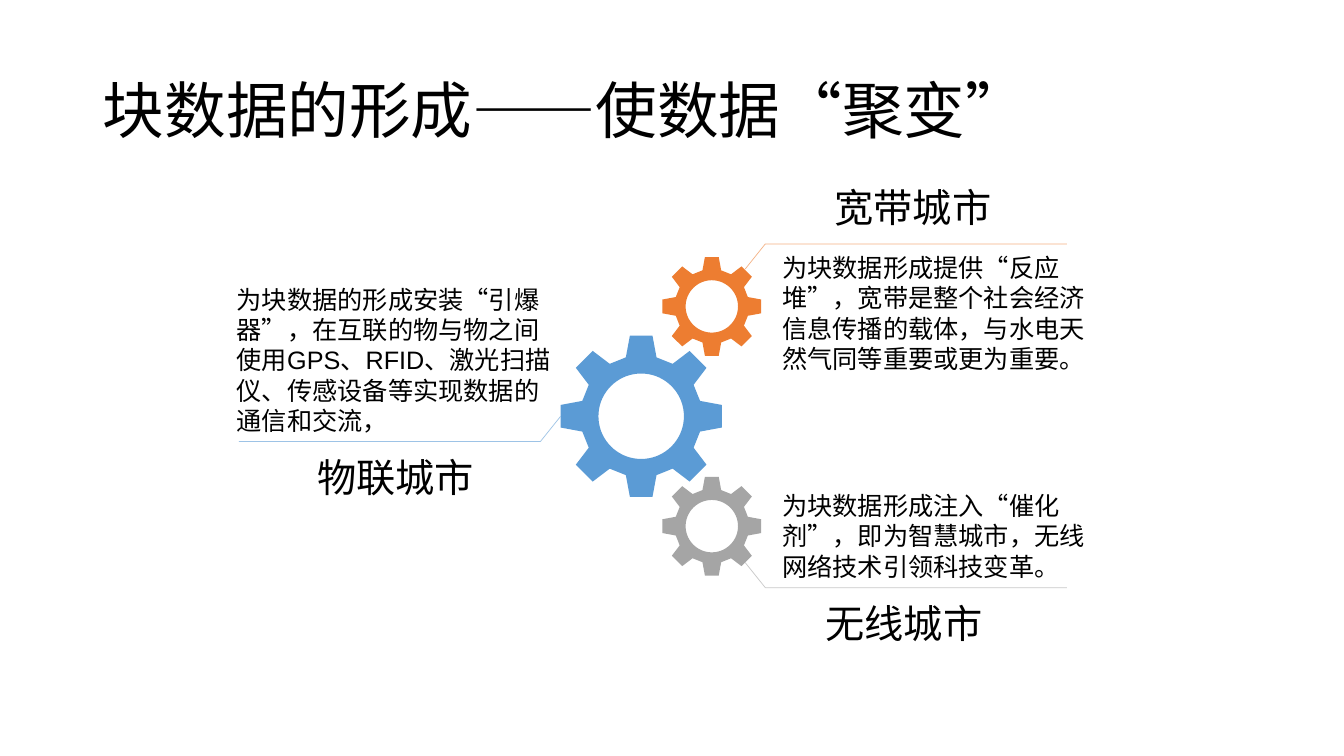
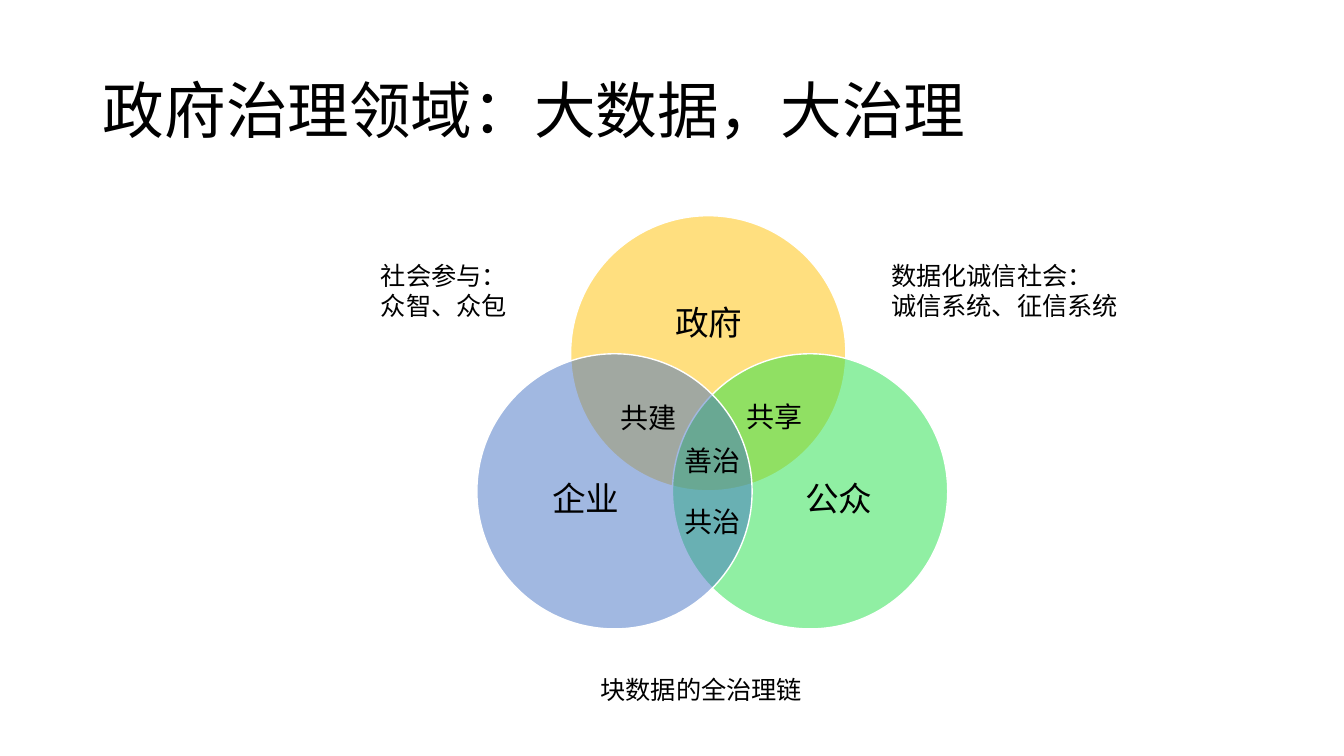
import math

from lxml import etree
from pptx import Presentation
from pptx.dml.color import RGBColor
from pptx.enum.lang import MSO_LANGUAGE_ID
from pptx.enum.shapes import MSO_SHAPE
from pptx.enum.text import MSO_ANCHOR, MSO_AUTO_SIZE, PP_ALIGN
from pptx.oxml.ns import qn
from pptx.util import Inches, Pt

LEFT, CENTER = PP_ALIGN.LEFT, PP_ALIGN.CENTER
TOP, MIDDLE = MSO_ANCHOR.TOP, MSO_ANCHOR.MIDDLE
GROW, FIXED = MSO_AUTO_SIZE.SHAPE_TO_FIT_TEXT, MSO_AUTO_SIZE.NONE
CHINESE = MSO_LANGUAGE_ID.SIMPLIFIED_CHINESE
OVAL = MSO_SHAPE.OVAL

# Shared style
BLACK = RGBColor(0x00, 0x00, 0x00)
WHITE = RGBColor(0xFF, 0xFF, 0xFF)
BLUE = RGBColor(0x5B, 0x9B, 0xD5)
ORANGE = RGBColor(0xED, 0x7D, 0x31)
GRAY = RGBColor(0xA5, 0xA5, 0xA5)
PALE_BLUE = RGBColor(0x9D, 0xC3, 0xE6)
PALE_ORANGE = RGBColor(0xF4, 0xB1, 0x83)
PALE_GRAY = RGBColor(0xC9, 0xC9, 0xC9)
GOLD = RGBColor(0xFF, 0xC0, 0x00)
GREEN = RGBColor(0x23, 0xE1, 0x48)
INDIGO = RGBColor(0x44, 0x72, 0xC4)
HEAD_FONT, BODY_FONT = "Calibri", "Arial"
TITLE_BOX = (0.92, 0.4, 11.5, 1.45)

# Slide 1: gears, leader lines and city texts
GEAR_TITLE = "块数据的形成——使数据“聚变”"
GEARS = [  # centre x, centre y, radius, colour
    (7.06, 5.22, 0.49, GRAY),
    (7.06, 3.04, 0.49, ORANGE),
    (6.36, 4.13, 0.8, BLUE),
]
# A quarter of the gear outline in units of the radius; turned four times
GEAR_QUARTER = [(-0.14, -1), (0.14, -1), (0.19, -0.73), (0.39, -0.65),
                (0.6, -0.81), (0.81, -0.6), (0.65, -0.39), (0.73, -0.19)]
HOLE_SHARE, HOLE_STEPS = 0.53, 72
LEADER_BEND, LEADER_RUN, LEADER_RISE = 0.2, 3.19, 0.25
LEADERS = [  # start x, start y, direction x, direction y, colour
    (7.39, 2.67, 1, -1, PALE_ORANGE),
    (7.39, 5.58, 1, 1, PALE_GRAY),
    (5.56, 4.13, -1, 1, PALE_BLUE),
]
CITY_TEXTS = [
    ((2.25, 2.76, 3.31, 1.62),
     "为块数据的形成安装“引爆器”，在互联的物与物之间使用GPS、RFID、激光扫描仪、传感设备等实现数据的通信和交流，"),
    ((7.66, 2.45, 3.4, 1.31),
     "为块数据形成提供“反应堆”，宽带是整个社会经济信息传播的载体，与水电天然气同等重要或更为重要。"),
    ((7.66, 4.81, 3.24, 1.01),
     "为块数据形成注入“催化剂”，即为智慧城市，无线网络技术引领科技变革。"),
]
CITY_NAMES = [
    ((7.54, 1.77, 3.03, 0.57), "宽带城市", CENTER),
    ((7.45, 5.9, 3.03, 0.57), "无线城市", CENTER),
    ((3.05, 4.45, 1.83, 0.57), "物联城市", LEFT),
]

# Slide 2: three overlapping circles
VENN_TITLE = "政府治理领域：大数据，大治理"
DIAMETER = 2.73
CIRCLES = [  # left, top, colour, name, name box
    (5.66, 2.14, GOLD, "政府", (6.03, 2.61, 2, 1.23)),
    (6.67, 3.51, GREEN, "公众", (7.5, 4.22, 1.64, 1.5)),
    (4.73, 3.51, INDIGO, "企业", (4.99, 4.22, 1.64, 1.5)),
]
OVERLAP_SIZE = (0.79, 0.44)
OVERLAPS = [(6.67, 4.35, "善治"), (7.29, 3.91, "共享"),
            (6.04, 3.92, "共建"), (6.67, 4.96, "共治")]
REMARKS = [
    ((3.68, 2.53, 2.26, 0.71), ["社会参与：", "众智、众包"], LEFT),
    ((8.74, 2.53, 2.47, 0.71), ["数据化诚信社会：", "诚信系统、征信系统"], LEFT),
    ((5.69, 6.64, 2.53, 0.42), ["块数据的全治理链"], CENTER),
]


def inches(values):
    return [Inches(v) for v in values]


def write(tf, lines, size, font=HEAD_FONT, align=LEFT, spacing=1.0):
    for i, line in enumerate(lines):
        p = tf.paragraphs[0] if i == 0 else tf.add_paragraph()
        p.alignment, p.line_spacing = align, spacing
        r = p.add_run()
        r.text = line
        r.font.name, r.font.size = font, Pt(size)
        r.font.color.rgb = BLACK
        r.font.language_id = CHINESE


def add_text(slide, box, lines, size, font=HEAD_FONT, align=LEFT,
             anchor=TOP, spacing=1.0, grow=True):
    tf = slide.shapes.add_textbox(*inches(box)).text_frame
    tf.word_wrap, tf.vertical_anchor = True, anchor
    tf.auto_size = GROW if grow else FIXED
    if not grow:
        tf.margin_left = tf.margin_right = tf.margin_top = tf.margin_bottom = 0
    write(tf, lines, size, font, align, spacing)


def add_titled_slide(prs, title):
    slide = prs.slides.add_slide(prs.slide_layouts[5])
    sp = slide.shapes.title
    sp.left, sp.top, sp.width, sp.height = inches(TITLE_BOX)
    tf = sp.text_frame
    tf.vertical_anchor, tf.auto_size = MIDDLE, FIXED
    write(tf, [title], 44, spacing=0.9)
    return slide


def add_outline(slide, contours, close):
    """Draw one freeform from lists of points in inches."""
    contours = [[inches(point) for point in c] for c in contours]
    builder = slide.shapes.build_freeform(*contours[0][0], scale=1.0)
    for i, points in enumerate(contours):
        if i:
            builder.move_to(*points[0])
        builder.add_line_segments(points[1:], close=close)
    sp = builder.convert_to_shape()
    sp.shadow.inherit = False
    return sp


def add_gear(slide, cx, cy, radius, color):
    rim, quarter = [], GEAR_QUARTER
    for _ in range(4):
        rim += quarter
        quarter = [(-y, x) for x, y in quarter]
    angles = [-2 * math.pi * i / HOLE_STEPS for i in range(HOLE_STEPS)]
    hole = [(HOLE_SHARE * math.cos(a), HOLE_SHARE * math.sin(a)) for a in angles]
    contours = [[(cx + radius * x, cy + radius * y) for x, y in c]
                for c in (rim, hole)]
    sp = add_outline(slide, contours, close=True)
    sp.fill.solid()
    sp.fill.fore_color.rgb = color
    sp.line.fill.background()


def add_leader(slide, x, y, dx, dy, color):
    end_y = y + dy * LEADER_RISE
    points = [(x, y), (x + dx * LEADER_BEND, end_y), (x + dx * LEADER_RUN, end_y)]
    sp = add_outline(slide, [points], close=False)
    sp.fill.background()
    sp.line.color.rgb, sp.line.width = color, Pt(0.5)


def add_circle(slide, left, top, color):
    sp = slide.shapes.add_shape(OVAL, *inches((left, top, DIAMETER, DIAMETER)))
    sp.shadow.inherit = False
    sp.fill.solid()
    sp.fill.fore_color.rgb = color
    sp.line.color.rgb, sp.line.width = WHITE, Pt(1)
    # Half transparent fill
    clr = sp.fill._xPr.find(qn("a:solidFill"))[0]
    etree.SubElement(clr, qn("a:alpha")).set("val", "50000")


def build_gears(prs):
    slide = add_titled_slide(prs, GEAR_TITLE)
    for gear in GEARS:
        add_gear(slide, *gear)
    for leader in LEADERS:
        add_leader(slide, *leader)
    for box, text in CITY_TEXTS:
        add_text(slide, box, [text], 18, BODY_FONT, anchor=MIDDLE)
    for box, name, align in CITY_NAMES:
        add_text(slide, box, [name], 28, align=align)


def build_venn(prs):
    slide = add_titled_slide(prs, VENN_TITLE)
    for left, top, color, name, box in CIRCLES:
        add_circle(slide, left, top, color)
        add_text(slide, box, [name], 24, align=CENTER, anchor=MIDDLE,
                 spacing=0.9, grow=False)
    for left, top, name in OVERLAPS:
        add_text(slide, (left, top, *OVERLAP_SIZE), [name], 20, align=CENTER)
    for box, lines, align in REMARKS:
        add_text(slide, box, lines, 18, align=align)


def main():
    prs = Presentation()
    prs.slide_width, prs.slide_height = Inches(13.33), Inches(7.5)
    build_gears(prs)
    build_venn(prs)
    prs.save("out.pptx")


if __name__ == "__main__":
    main()
